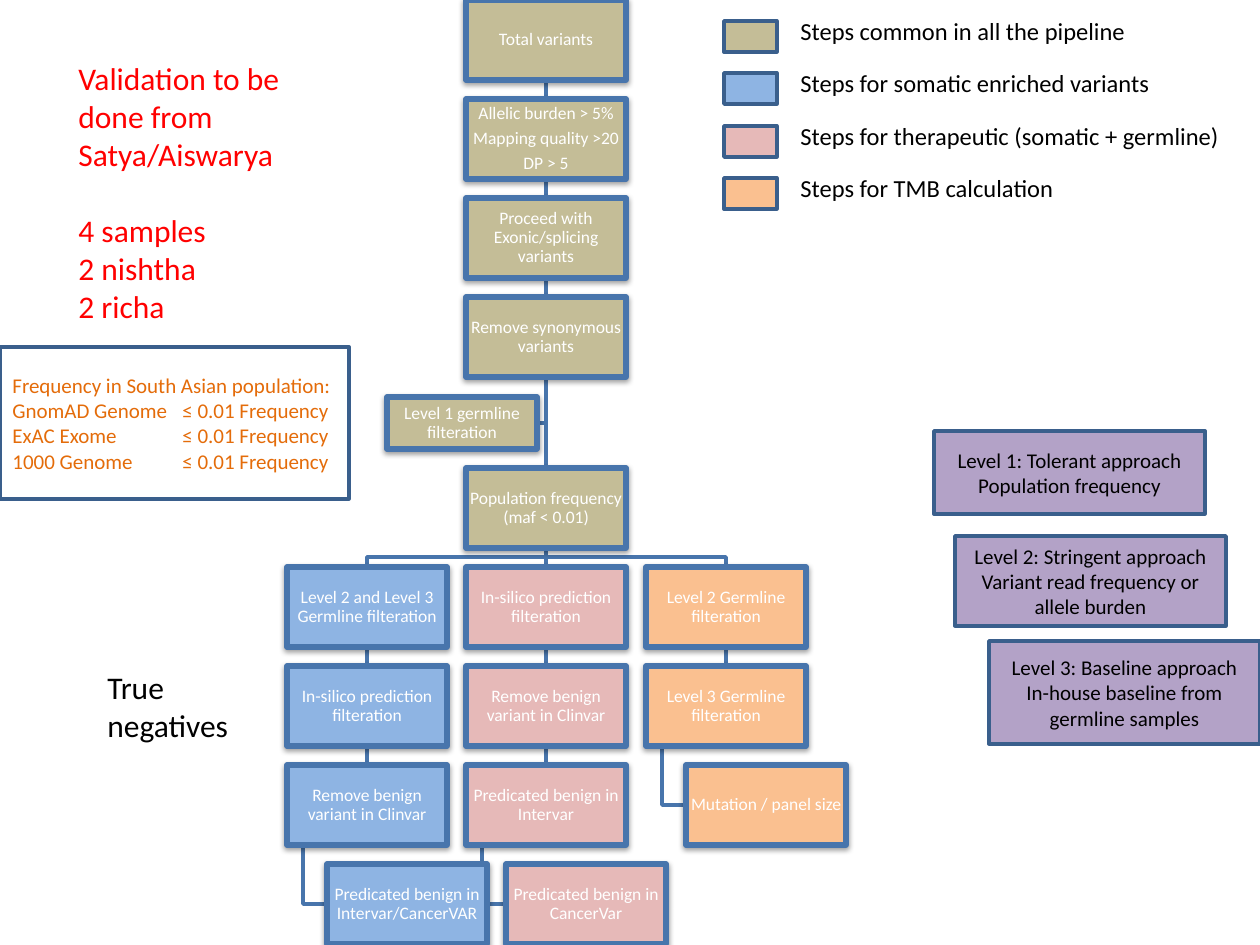
from dataclasses import dataclass
from itertools import pairwise

from lxml.etree import SubElement
from pptx import Presentation
from pptx.dml.color import RGBColor
from pptx.enum.shapes import MSO_CONNECTOR, MSO_SHAPE
from pptx.enum.text import MSO_ANCHOR, PP_ALIGN
from pptx.oxml.ns import qn
from pptx.util import Pt

SCALE = 914400 / 126  # EMU in one px
FONT = "Calibri"
TAN, BLUE, PINK, ORANGE = "C4BD97", "8EB4E3", "E6B9B8", "FAC090"
PURPLE, EDGE, LINK = "B3A2C7", "3A5F8C", "4875AC"
WIDE, HIGH, STEP = 160, 80, 99  # flow box size and row pitch
LEFT, MID, RIGHT = 287, 466, 646  # flow columns
INDENT = 40  # shift of the last box in a branch
FORK = 468  # top of the box where the flow splits


@dataclass
class Style:
    size: int
    color: str
    align: PP_ALIGN = PP_ALIGN.LEFT
    line: float = 1.0
    after: float = 0


@dataclass
class Box:
    x: int
    y: int
    w: int
    h: int
    fill: str
    lines: tuple[str, ...] = ()


FLOW = Style(10, "FFFFFF", PP_ALIGN.CENTER, 0.9, 3.5)
LEVEL = Style(12, "000000", PP_ALIGN.CENTER)
FREQ = Style(12, "E46C0A")
KEY = Style(14, "000000")
NOTE = Style(18, "FF0000")
LABEL = Style(18, "000000")


def px(n: float) -> int:
    return round(n * SCALE)


def rgb(code: str) -> RGBColor:
    return RGBColor.from_string(code)


def write(frame, lines: tuple[str, ...], style: Style) -> None:
    for i, text in enumerate(lines):
        para = frame.paragraphs[0] if i == 0 else frame.add_paragraph()
        para.alignment = style.align
        para.line_spacing = style.line
        para.space_after = Pt(style.after)
        run = para.add_run()
        run.text = text
        run.font.name = FONT
        run.font.size = Pt(style.size)
        run.font.color.rgb = rgb(style.color)


def draw(slide, box: Box, style: Style, edge: str = EDGE, width: int = 2):
    shape = slide.shapes.add_shape(
        MSO_SHAPE.RECTANGLE, px(box.x), px(box.y), px(box.w), px(box.h))
    shape.shadow.inherit = False
    if box.fill:
        shape.fill.solid()
        shape.fill.fore_color.rgb = rgb(box.fill)
    else:
        shape.fill.background()
    shape.line.color.rgb = rgb(edge)
    shape.line.width = Pt(width)
    frame = shape.text_frame
    frame.word_wrap = True
    frame.vertical_anchor = MSO_ANCHOR.MIDDLE
    write(frame, box.lines, style)
    return shape


def flow(slide, box: Box) -> None:
    shape = draw(slide, box, FLOW, LINK, 3)
    frame = shape.text_frame
    frame.margin_left = frame.margin_right = px(1)
    frame.margin_top = frame.margin_bottom = px(1)
    # Soft shadow below the box
    effects = shape._element.spPr.find(qn("a:effectLst"))
    shade = SubElement(effects, qn("a:outerShdw"), blurRad="40000",
                       dist="20000", dir="5400000", rotWithShape="0")
    color = SubElement(shade, qn("a:srgbClr"), val="000000")
    SubElement(color, qn("a:alpha"), val="38000")


def link(slide, *points: tuple[int, int]) -> None:
    spots = [(px(x), px(y)) for x, y in points]
    if len(spots) == 2:
        shape = slide.shapes.add_connector(
            MSO_CONNECTOR.STRAIGHT, *spots[0], *spots[1])
        SubElement(shape._element.spPr, qn("a:effectLst"))
    else:
        path = slide.shapes.build_freeform(*spots[0])
        path.add_line_segments(spots[1:], close=False)
        shape = path.convert_to_shape()
        shape.fill.background()
        shape.shadow.inherit = False
    shape.line.color.rgb = rgb(LINK)
    shape.line.width = Pt(2)


def label(slide, x: int, y: int, w: int, h: int,
          lines: tuple[str, ...], style: Style, wrap: bool = True):
    frame = slide.shapes.add_textbox(px(x), px(y), px(w), px(h)).text_frame
    frame.word_wrap = wrap
    write(frame, lines, style)
    return frame


def stack(x: int, top: int, fill: str, *texts) -> list[Box]:
    return [Box(x, top + i * STEP, WIDE, HIGH, fill, lines)
            for i, lines in enumerate(texts)]


def hook(slide, box: Box) -> None:
    """Join a shifted box to the one above and to its left."""
    x, y = box.x - INDENT + 16, box.y + HIGH // 2
    link(slide, (x, box.y - STEP + HIGH), (x, y), (box.x, y))


def main() -> None:
    deck = Presentation()
    deck.slide_width, deck.slide_height = px(1260), px(945)
    slide = deck.slides.add_slide(deck.slide_layouts[6])

    # Flow boxes
    trunk = stack(
        MID, 0, TAN, ("Total variants",),
        ("Allelic burden > 5%", "Mapping quality >20", "DP > 5"),
        ("Proceed with Exonic/splicing variants",),
        ("Remove synonymous variants",))
    fork = Box(MID, FORK, WIDE, HIGH, TAN, ("Population frequency (maf < 0.01)",))
    side = Box(387, 397, 150, 52, TAN, ("Level 1 germline filteration",))
    top = FORK + STEP
    branches = [
        stack(LEFT, top, BLUE, ("Level 2 and Level 3 Germline filteration",),
              ("In-silico prediction filteration",),
              ("Remove benign variant in Clinvar",),
              ("Predicated benign in Intervar/CancerVAR",)),
        stack(MID, top, PINK, ("In-silico prediction filteration",),
              ("Remove benign variant in Clinvar",),
              ("Predicated benign in Intervar",),
              ("Predicated benign in CancerVar",)),
        stack(RIGHT, top, ORANGE, ("Level 2 Germline filteration",),
              ("Level 3 Germline filteration",),
              ("Mutation / panel size",))]

    # Links lie behind the boxes
    mid = MID + WIDE // 2
    for a, b in pairwise(trunk + [fork]):
        link(slide, (mid, a.y + HIGH), (mid, b.y))
    link(slide, (mid, 423), (side.x + side.w, 423))
    for branch in branches:
        x, bend = branch[0].x + WIDE // 2, top - 10
        ends = (mid, FORK + HIGH), (x, top)
        link(slide, ends[0], *([] if x == mid else [(mid, bend), (x, bend)]), ends[1])
        for a, b in pairwise(branch[:-1]):
            link(slide, (x, a.y + HIGH), (x, b.y))
        branch[-1].x += INDENT
        hook(slide, branch[-1])
    for box in sum(branches, trunk + [fork, side]):
        flow(slide, box)

    # Colour key
    keys = ((TAN, "Steps common in all the pipeline", 353),
            (BLUE, "Steps for somatic enriched variants", 391),
            (PINK, "Steps for therapeutic (somatic + germline)", 447),
            (ORANGE, "Steps for TMB calculation", 281))
    for i, (fill, text, width) in enumerate(keys):
        y = i * 105 // 2
        draw(slide, Box(724, 21 + y, 53, 31, fill), KEY)
        label(slide, 788, 10 + y, width, 43, (text,), KEY, False)

    # Frequency limits, aligned on a tab
    limit = "\t≤ 0.01 Frequency"
    names = "GnomAD Genome", "ExAC Exome", "1000 Genome"
    panel = draw(slide, Box(0, 347, 349, 152, "", (
        "Frequency in South Asian population:", *(n + limit for n in names))), FREQ)
    for para in panel.text_frame.paragraphs[1:]:
        tabs = SubElement(para._p.get_or_add_pPr(), qn("a:tabLst"))
        SubElement(tabs, qn("a:tab"), pos=str(px(170)), algn="l")

    # Filter levels
    for x, y, h, *lines in (
            (934, 431, 83, "Level 1: Tolerant approach", "Population frequency"),
            (955, 536, 90, "Level 2: Stringent approach",
             "Variant read frequency or allele burden"),
            (989, 641, 103, "Level 3: Baseline approach",
             "In-house baseline from germline samples")):
        draw(slide, Box(x, y, 271, h, PURPLE, tuple(lines)), LEVEL)

    # Notes
    label(slide, 95, 662, 147, 89, ("True negatives",), LABEL)
    note = label(slide, 66, 53, 283, 280, (
        "Validation to be done from Satya/Aiswarya",
        "4 samples", "2 nishtha", "2 richa"), NOTE)
    note.paragraphs[1].space_before = Pt(22)

    deck.save("out.pptx")


if __name__ == "__main__":
    main()
